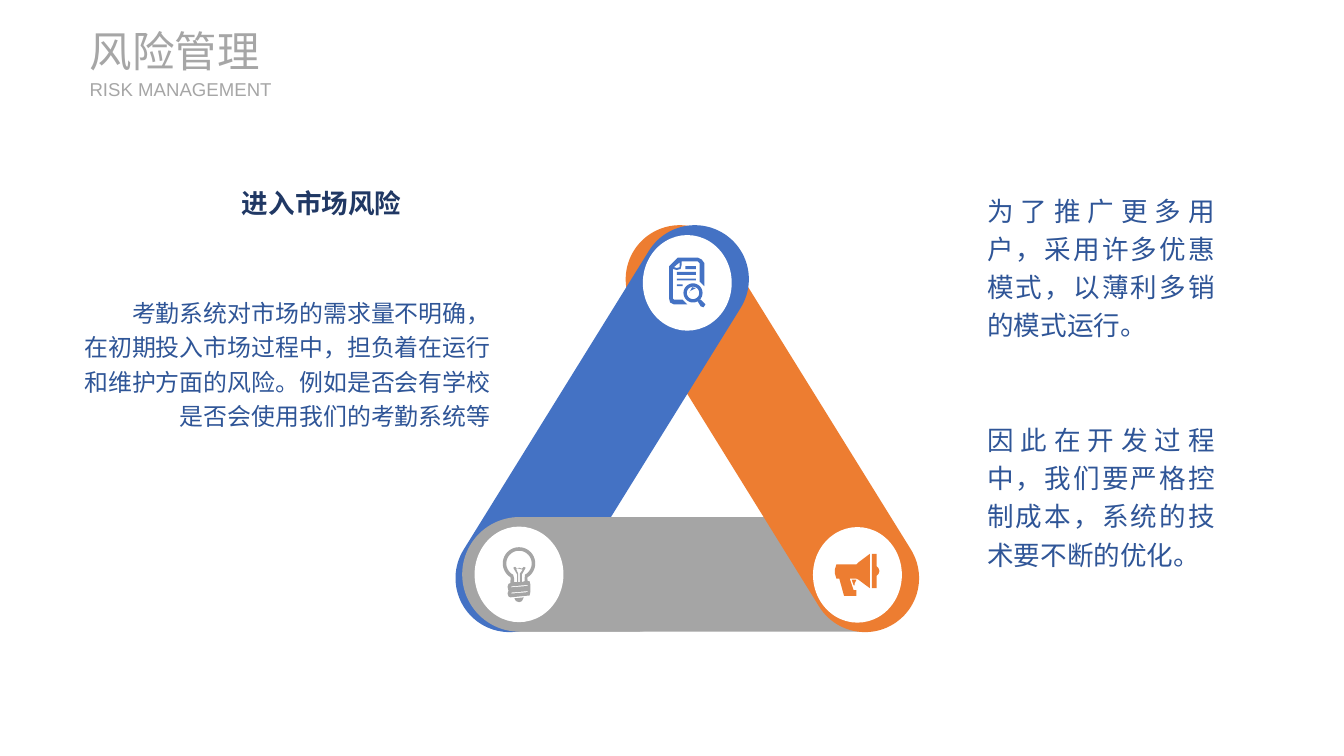
import dataclasses
import math

import pptx
import pptx.dml.color
import pptx.enum.shapes
import pptx.enum.text
import pptx.util

SHAPES = pptx.enum.shapes.MSO_SHAPE
ALIGN = pptx.enum.text.PP_ALIGN
ANCHOR = pptx.enum.text.MSO_ANCHOR
CELL = pptx.util.Inches(0.1)
ICON_UNIT = pptx.util.Inches(0.01)


@dataclasses.dataclass(frozen=True)
class Theme:
    font: str = "Arial"
    blue: str = "4472C4"
    orange: str = "ED7D31"
    gray: str = "A5A5A5"
    white: str = "FFFFFF"
    heading: str = "A6A6A6"
    body: str = "2F5597"
    topic: str = "203864"
    title_size: int = 32
    large_size: int = 20
    body_size: int = 18
    subtitle_size: int = 14


@dataclasses.dataclass(frozen=True)
class Box:
    left: float
    top: float
    width: float
    height: float

    def inner(self, left, top, width, height):
        return Box(self.left + left, self.top + top, width, height)

    def lengths(self):
        return [round(value * CELL) for value in dataclasses.astuple(self)]


THEME = Theme()


def color(value):
    return pptx.dml.color.RGBColor.from_string(value)


def paint(shape, fill):
    shape.shadow.inherit = False
    shape.fill.solid()
    shape.fill.fore_color.rgb = color(fill)
    shape.line.fill.background()


def add_text(slide, box, texts, size, fill, align=ALIGN.LEFT, bold=False,
             spacing=1.2, gap=0, heading=False):
    frame = slide.shapes.add_textbox(*box.lengths()).text_frame
    frame.word_wrap = True
    if heading:
        frame.vertical_anchor = ANCHOR.MIDDLE
        frame.margin_left = frame.margin_right = 0
        frame.margin_top = frame.margin_bottom = 0
    for index, text in enumerate(texts):
        paragraph = frame.add_paragraph() if index else frame.paragraphs[0]
        paragraph.alignment = align
        paragraph.line_spacing = spacing
        if align == ALIGN.JUSTIFY:
            paragraph._p.get_or_add_pPr().set("hangingPunct", "0")
        if index and gap:
            paragraph.space_before = pptx.util.Pt(gap)
        run = paragraph.add_run()
        run.text = text
        run.font.name = THEME.font
        run.font.size = pptx.util.Pt(size)
        run.font.bold = bold
        run.font.color.rgb = color(fill)


def arc(center_x, center_y, radius, start=0, end=360):
    steps = 32
    angles = [math.radians(start + (end - start) * step / steps) for step in range(steps + 1)]
    return [(center_x + radius * math.cos(angle), center_y + radius * math.sin(angle))
            for angle in angles]


def bar(left, top, width, height):
    right, bottom = left + width, top + height
    return [(left, top), (right, top), (right, bottom), (left, bottom)]


def document_contours():
    page = [(11, 0), (30, 0), (34, 2), (37, 6), (37, 30), (32, 25), (32, 6), (30, 4),
            (13, 4), (13, 8), (12, 12), (8, 13), (4, 12), (4, 43), (5, 44), (14, 44),
            (19, 49), (5, 49), (1, 47), (0, 43), (0, 9), (9, 0)]
    fold = [(11, 5), (5, 10), (8, 11), (11, 10)]
    text_lines = [bar(8, 28, 6, 2), bar(8, 22, 20, 2), bar(8, 15, 20, 3), bar(17, 9, 11, 3)]
    lens = [arc(25, 37, 10), arc(25, 37, 6.5)]
    glint = [(21, 37), (22, 35), (28, 32), (24, 31)]
    handle = [(30, 46), (33, 51), (36, 52), (38, 49), (33, 44)]
    return [page, fold, *text_lines, *lens, glint, handle]


def bulb_contours():
    outline = arc(17, 17.5, 17, 121, 419) + [
        (26, 36), (28, 36), (29, 40), (29, 47), (28, 51), (8, 53), (6, 52),
        (5, 49), (6, 46), (5, 42), (6, 39), (8, 38)]
    glass = arc(17, 17.5, 13.3, 117, 423) + [
        (23, 33), (23, 36), (20, 37), (20, 29), (24, 22), (22, 21), (20, 23), (17, 22),
        (15, 23), (13, 21), (11, 22), (15, 29), (15, 37), (12, 37), (12, 34)]
    filament = [(14, 23), (16, 28), (16, 37), (18, 37), (18, 28), (21, 24), (17, 23)]
    threads = [[(26, top), (9, top + 1.5), (9, top + 2.5), (26, top + 1)] for top in (40, 46.5)]
    foot = [(22, 53), (12, 54), (14, 57), (17, 58), (20, 57)]
    return [outline, glass, filament, *threads, foot]


def megaphone_contours():
    horn = [(2, 11), (23, 11), (25, 9), (37, 0), (37, 36), (25, 27), (23, 26), (16, 26),
            (20, 38), (23, 38), (23, 44), (10, 44), (5, 26), (2, 26), (0.5, 21), (0.5, 16)]
    rim = [(39, 0), (44, 0), (44, 13), (46, 15), (47, 18), (46, 21), (44, 23), (44, 36), (39, 36)]
    trigger = [(23, 27), (18, 27), (20, 33), (21, 33), (21, 31)]
    return [horn, rim, trigger]


def add_icon(slide, disc, size, contours, fill):
    left = disc.left + (disc.width - size[0]) / 2
    top = disc.top + (disc.height - size[1]) / 2
    scaled = [[(x * ICON_UNIT, y * ICON_UNIT) for x, y in contour] for contour in contours]
    builder = slide.shapes.build_freeform(*scaled[0][0])
    for index, contour in enumerate(scaled):
        if index:
            builder.move_to(*contour[0])
        builder.add_line_segments(contour[1:], close=True)
    paint(builder.convert_to_shape(round(left * CELL), round(top * CELL)), fill)


def add_heading(slide, box):
    add_text(slide, box.inner(0, 0, box.width, 5.4), ["风险管理"],
             THEME.title_size, THEME.heading, spacing=1, heading=True)
    add_text(slide, box.inner(0, 5.5, box.width, 2.4), ["RISK MANAGEMENT"],
             THEME.subtitle_size, THEME.heading, spacing=1, heading=True)


def add_market_risk(slide, box):
    add_text(slide, box.inner(16.5, 0, 20.3, 5), ["进入市场风险"],
             THEME.large_size, THEME.topic, ALIGN.RIGHT, bold=True)
    add_text(slide, box.inner(0, 11.7, box.width, 15.6),
             ["考勤系统对市场的需求量不明确，",
              "在初期投入市场过程中，担负着在运行和维护方面的风险。例如是否会有学校是否会使用我们的考勤系统等"],
             THEME.body_size, THEME.body, ALIGN.RIGHT)


def add_responses(slide, box):
    add_text(slide, box,
             ["为了推广更多用户，采用许多优惠模式，以薄利多销的模式运行。",
              "因此在开发过程中，我们要严格控制成本，系统的技术要不断的优化。"],
             THEME.large_size, THEME.body, ALIGN.JUSTIFY, gap=57.5)


def add_triangle(slide, box):
    middle = box.width / 2
    bars = [
        (middle - 23.35, 31.1, 46.7, 12, 0, THEME.gray),
        (middle + 8.9 - 24.05, 16.2, 48.1, 11.3, 58.2, THEME.orange),
        (middle - 8.9 - 24.05, 16.2, 48.1, 11.3, -58.2, THEME.blue),
        (middle - 23.55, 31.1, 24.1, 12, 0, THEME.gray),
    ]
    for left, top, width, height, rotation, fill in bars:
        shape = slide.shapes.add_shape(SHAPES.ROUNDED_RECTANGLE,
                                       *box.inner(left, top, width, height).lengths())
        shape.adjustments[0] = 0.5
        shape.rotation = rotation
        paint(shape, fill)
    corners = [
        (0, 1.6, (3.8, 5.3), document_contours(), THEME.blue),
        (-17.6, 32.1, (3.4, 5.8), bulb_contours(), THEME.gray),
        (17.8, 32.15, (4.8, 4.4), megaphone_contours(), THEME.orange),
    ]
    for offset, top, size, contours, fill in corners:
        disc = box.inner(middle + offset - 4.65, top, 9.3, 10)
        paint(slide.shapes.add_shape(SHAPES.OVAL, *disc.lengths()), THEME.white)
        add_icon(slide, disc, size, contours, fill)


def main():
    presentation = pptx.Presentation()
    presentation.slide_width = pptx.util.Inches(14.06)
    presentation.slide_height = pptx.util.Inches(7.91)
    slide = presentation.slides.add_slide(presentation.slide_layouts[6])
    add_triangle(slide, Box(47.7, 23, 48.4, 43.2))
    add_responses(slide, Box(102.3, 19.2, 25.8, 41.4))
    add_market_risk(slide, Box(6.2, 18.45, 46.1, 27.3))
    add_heading(slide, Box(9.37, 2.6, 43.2, 7.9))
    presentation.save("out.pptx")


if __name__ == "__main__":
    main()
